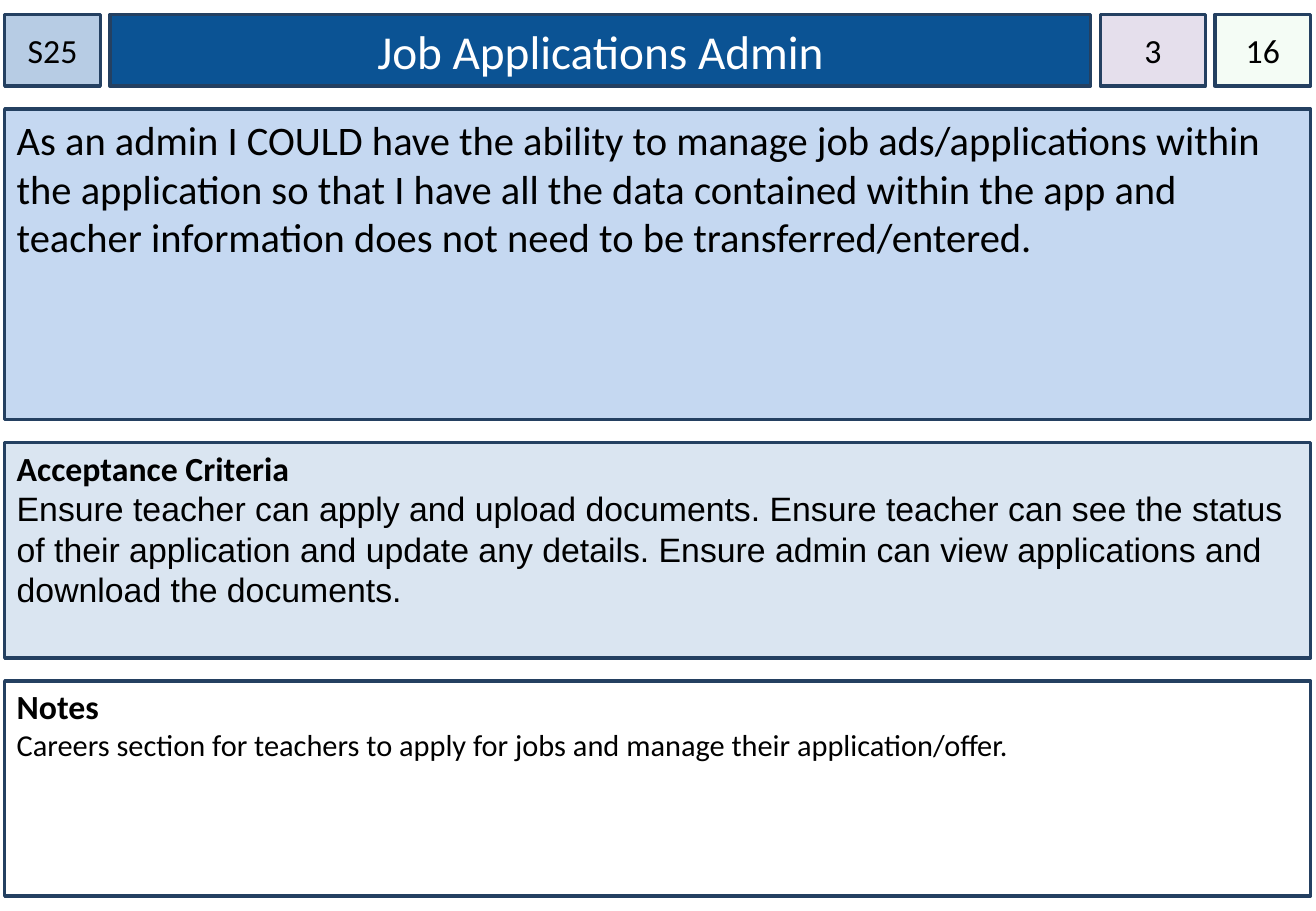
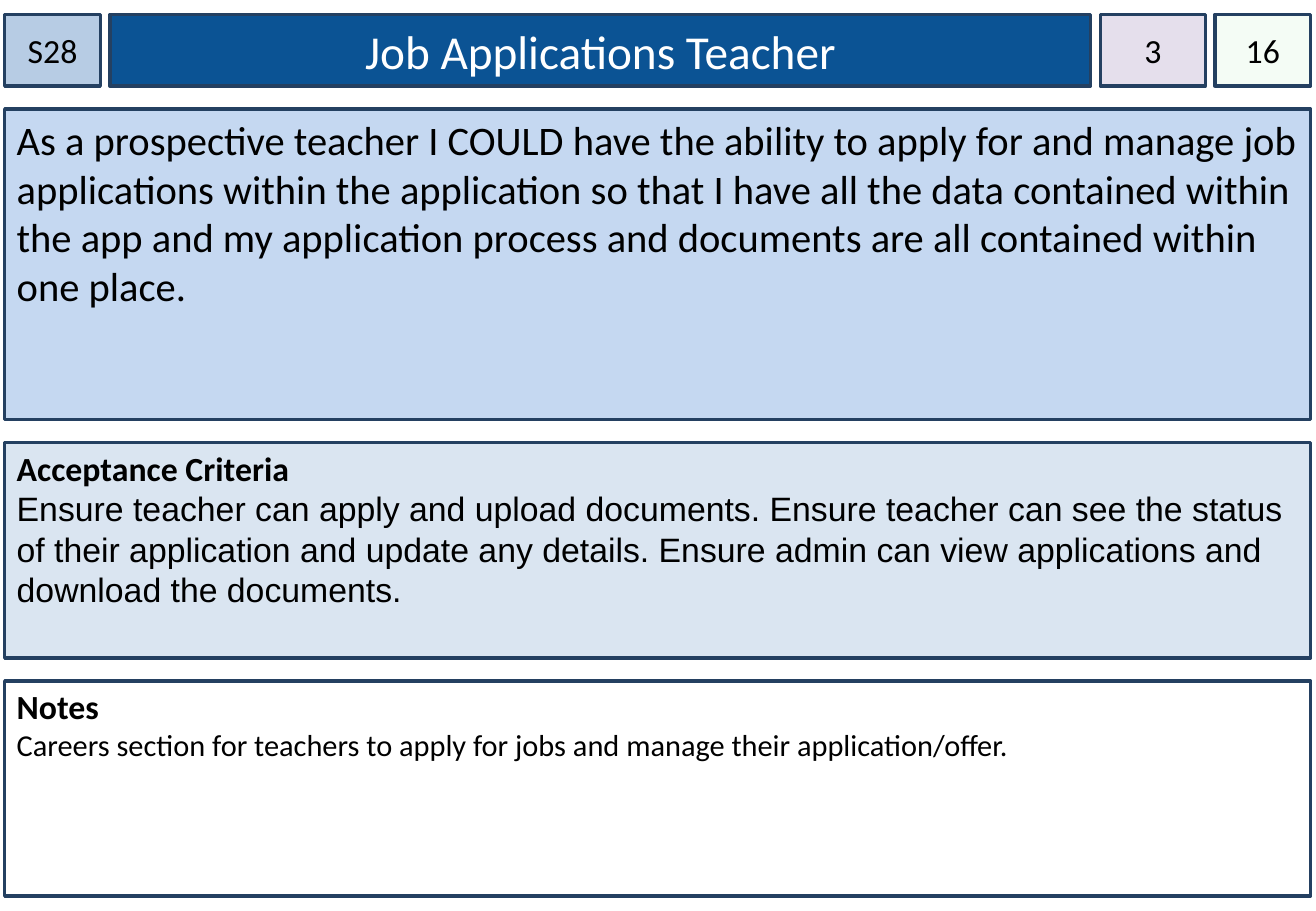
from dataclasses import dataclass

import pptx
import pptx.dml.color
import pptx.enum.shapes
import pptx.enum.text
import pptx.oxml.ns
import pptx.shapes.autoshape
import pptx.slide
import pptx.util
from lxml import etree

Cm = pptx.util.Cm
RGBColor = pptx.dml.color.RGBColor
PP_ALIGN = pptx.enum.text.PP_ALIGN
MSO_ANCHOR = pptx.enum.text.MSO_ANCHOR

# Colours
NAVY = RGBColor(0x24, 0x40, 0x61)
TITLE_BLUE = RGBColor(0x0B, 0x53, 0x94)
ID_BLUE = RGBColor(0xB7, 0xCC, 0xE4)
STORY_BLUE = RGBColor(0xC5, 0xD8, 0xF1)
CRITERIA_BLUE = RGBColor(0xDA, 0xE5, 0xF1)
LILAC = RGBColor(0xE5, 0xDF, 0xEC)
GREEN = RGBColor(0xCC, 0xF0, 0xCD)
WHITE = RGBColor(0xFF, 0xFF, 0xFF)
BLACK = RGBColor(0x00, 0x00, 0x00)

# Layout in centimetres
LEFT, TOP = 0.1, 0.3
HEADER_HEIGHT = 1.5
HEADER_GAP, ROW_GAP = 0.2, 0.48
HEADER_WIDTHS = (2.0, 20.5, 2.2, 2.0)
PANEL_WIDTH = 27.3
PANEL_HEIGHTS = (6.5, 4.5, 4.5)


@dataclass(frozen=True)
class Line:
    text: str
    size: int
    font: str = "Calibri"
    bold: bool = False
    color: RGBColor = BLACK


@dataclass(frozen=True)
class Box:
    lines: tuple[Line, ...]
    fill: RGBColor
    opacity: int = 100
    centred: bool = False
    side_inset: float = 0.25
    top_inset: float = 0.13


@dataclass(frozen=True)
class Story:
    code: str
    title: str
    text: str
    priority: str = "3"
    points: str = "16"
    criteria: str = (
        "Ensure teacher can apply and upload documents. Ensure teacher can see "
        "the status of their application and update any details. Ensure admin "
        "can view applications and download the documents."
    )
    notes: str = (
        "Careers section for teachers to apply for jobs and manage their "
        "application/offer."
    )


STORIES = (
    Story(
        "S25",
        "Job Applications Admin",
        "As an admin I COULD have the ability to manage job ads/applications "
        "within the application so that I have all the data contained within "
        "the app and teacher information does not need to be transferred/entered.",
    ),
    Story(
        "S28",
        "Job Applications Teacher",
        "As a prospective teacher I COULD have the ability to apply for and "
        "manage job applications within the application so that I have all the "
        "data contained within the app and my application process and documents "
        "are all contained within one place.",
    ),
)


def badge(text: str, fill: RGBColor, opacity: int = 100) -> Box:
    return Box((Line(text, 20),), fill, opacity, centred=True, side_inset=0)


def section(heading: str, body: Line, fill: RGBColor) -> Box:
    return Box((Line(heading, 20, bold=True), body), fill, top_inset=0.1)


def style_box(sp: pptx.shapes.autoshape.Shape, box: Box) -> None:
    # Fill and outline
    sp.fill.solid()
    sp.fill.fore_color.rgb = box.fill
    if box.opacity < 100:
        color = sp.fill._xPr.find(".//" + pptx.oxml.ns.qn("a:srgbClr"))
        alpha = etree.SubElement(color, pptx.oxml.ns.qn("a:alpha"))
        alpha.set("val", str(box.opacity * 1000))
    sp.line.color.rgb = NAVY
    sp.line.width = pptx.util.Pt(2)

    # Text
    tf = sp.text_frame
    tf.word_wrap = True
    tf.auto_size = pptx.enum.text.MSO_AUTO_SIZE.NONE
    tf.vertical_anchor = MSO_ANCHOR.MIDDLE if box.centred else MSO_ANCHOR.TOP
    tf.margin_left = tf.margin_right = Cm(box.side_inset)
    tf.margin_top, tf.margin_bottom = Cm(box.top_inset), Cm(0.13)
    tf.text = "\n".join(line.text for line in box.lines)
    for p, line in zip(tf.paragraphs, box.lines):
        p.alignment = PP_ALIGN.CENTER if box.centred else PP_ALIGN.LEFT
        for r in p.runs:
            r.font.name = line.font
            r.font.size = pptx.util.Pt(line.size)
            r.font.bold = line.bold
            r.font.color.rgb = line.color


def add_box(
    s: pptx.slide.Slide, box: Box, x: float, y: float, w: float, h: float
) -> None:
    sp = s.shapes.add_shape(
        pptx.enum.shapes.MSO_SHAPE.RECTANGLE, Cm(x), Cm(y), Cm(w), Cm(h)
    )
    sp.shadow.inherit = False
    style_box(sp, box)


def place_title(
    s: pptx.slide.Slide, box: Box, x: float, y: float, w: float, h: float
) -> None:
    sp = s.shapes.title
    sp.left, sp.top, sp.width, sp.height = Cm(x), Cm(y), Cm(w), Cm(h)
    style_box(sp, box)


def add_story(prs: pptx.presentation.Presentation, story: Story) -> None:
    s = prs.slides.add_slide(prs.slide_layouts.get_by_name("Title Only"))

    # Header row
    title = Box((Line(story.title, 28, color=WHITE),), TITLE_BLUE, centred=True)
    header = (
        badge(story.code, ID_BLUE),
        title,
        badge(story.priority, LILAC),
        badge(story.points, GREEN, opacity=20),
    )
    x = LEFT
    for box, width in zip(header, HEADER_WIDTHS):
        draw = place_title if box is title else add_box
        draw(s, box, x, TOP, width, HEADER_HEIGHT)
        x += width + HEADER_GAP

    # Stacked panels
    panels = (
        Box((Line(story.text, 24),), STORY_BLUE),
        section("Acceptance Criteria", Line(story.criteria, 20, "Arial"), CRITERIA_BLUE),
        section("Notes", Line(story.notes, 18), WHITE),
    )
    y = TOP + HEADER_HEIGHT + ROW_GAP
    for box, height in zip(panels, PANEL_HEIGHTS):
        add_box(s, box, LEFT, y, PANEL_WIDTH, height)
        y += height + ROW_GAP


def main() -> None:
    prs = pptx.Presentation()
    prs.slide_width, prs.slide_height = Cm(27.51), Cm(19.05)
    for story in STORIES:
        add_story(prs, story)
    prs.save("out.pptx")


if __name__ == "__main__":
    main()
